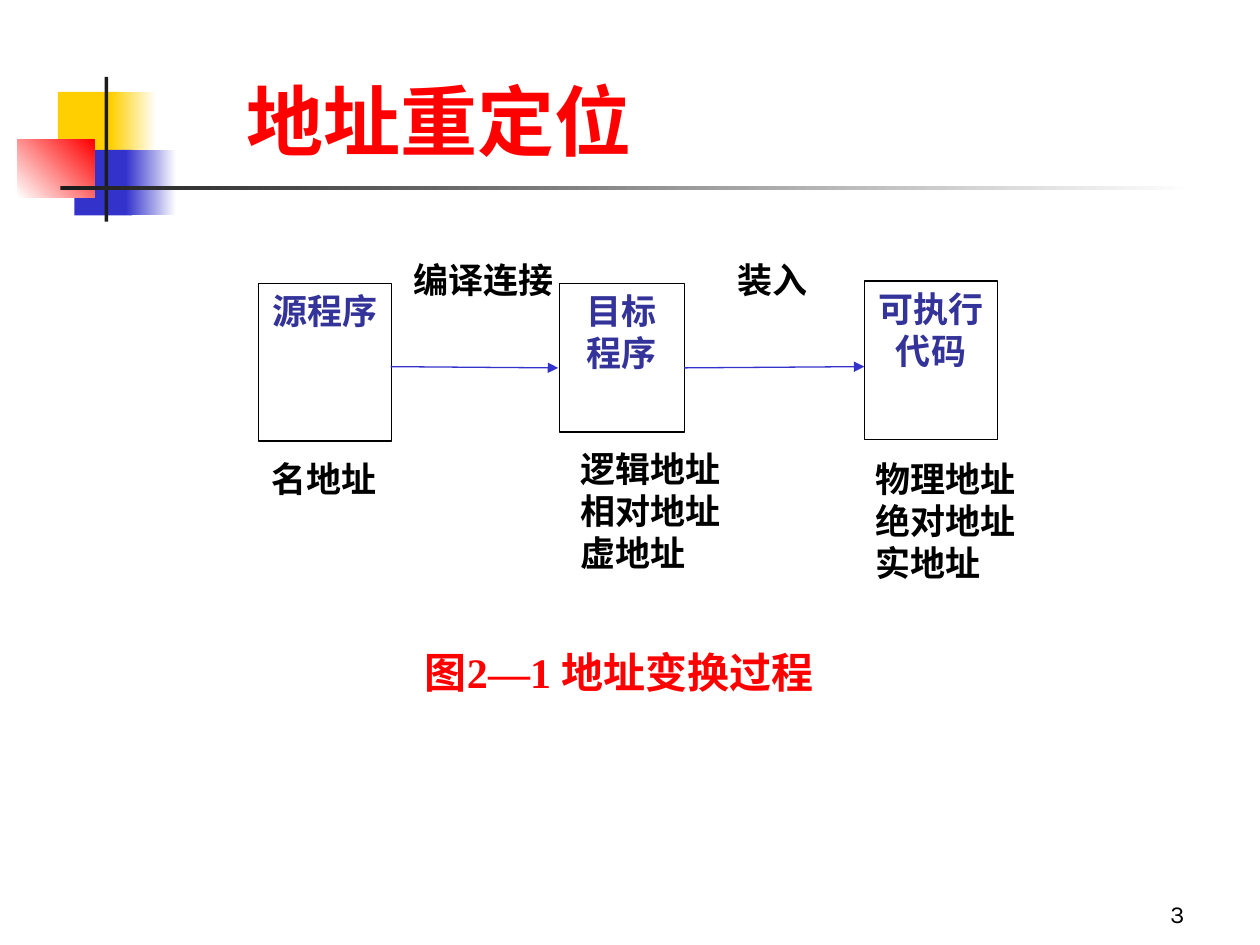
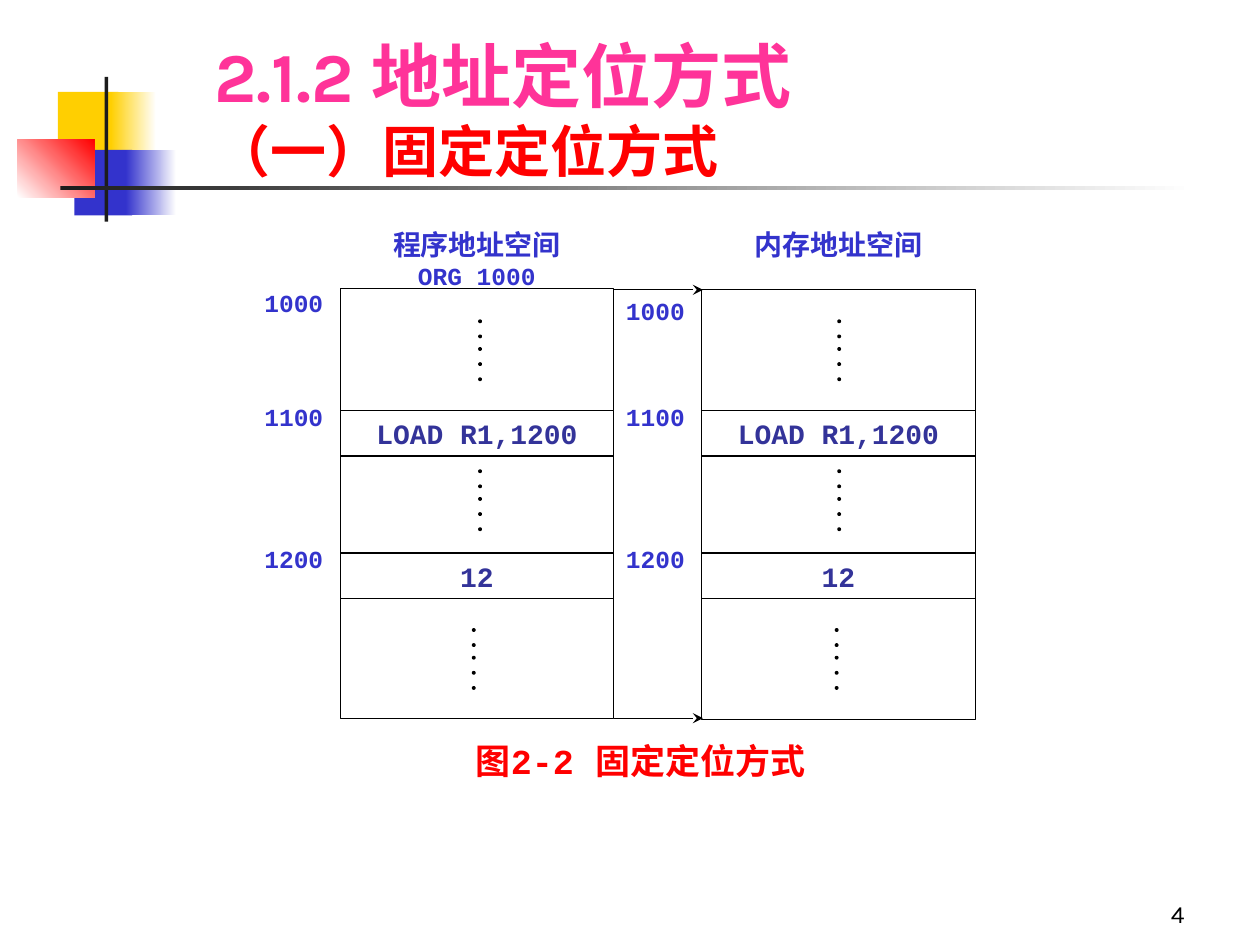
from dataclasses import dataclass

from lxml import etree
from pptx import Presentation
from pptx.dml.color import RGBColor
from pptx.enum.shapes import MSO_CONNECTOR, MSO_SHAPE
from pptx.enum.text import MSO_ANCHOR, MSO_AUTO_SIZE, PP_ALIGN
from pptx.oxml.ns import qn
from pptx.util import Inches, Pt

RECT, OVAL, STRAIGHT = MSO_SHAPE.RECTANGLE, MSO_SHAPE.OVAL, MSO_CONNECTOR.STRAIGHT
LEFT, CENTER, RIGHT, JUSTIFY = PP_ALIGN.LEFT, PP_ALIGN.CENTER, PP_ALIGN.RIGHT, PP_ALIGN.JUSTIFY
TOP, BOTTOM = MSO_ANCHOR.TOP, MSO_ANCHOR.BOTTOM
TITLE_ONLY = 5


@dataclass(frozen=True)
class Theme:
    black: str = "000000"
    white: str = "FFFFFF"
    ink: str = "1C1C1C"
    red: str = "FF0000"
    pink: str = "FF3399"
    yellow: str = "FFCF01"
    blue: str = "3333CC"
    navy: str = "333399"
    heading_font: str = "Karla"
    diagram_font: str = "Times New Roman"
    code_font: str = "Courier New"
    title: int = 44
    section: int = 40
    subsection: int = 32
    caption: int = 24
    body: int = 20
    code: int = 16
    small: int = 14
    line: float = 0.75


THEME = Theme()


def rgb(color):
    return RGBColor.from_string(color)


def style_spans(para, font, size, color, bold=True):
    for span in para.runs:
        span.font.name = font
        span.font.size = Pt(size)
        span.font.color.rgb = rgb(color)
        span.font.bold = bold


def write(box, text, font, size, color, align=CENTER, anchor=TOP, bold=True):
    frame = box.text_frame
    frame.word_wrap = True
    frame.auto_size = MSO_AUTO_SIZE.NONE
    frame.vertical_anchor = anchor
    frame.text = text
    for para in frame.paragraphs:
        para.alignment = align
        style_spans(para, font, size, color, bold)


def add_label(page, place, text, font, size, color, **layout):
    box = page.shapes.add_textbox(*map(Inches, place))
    write(box, text, font, size, color, **layout)
    return box


def add_block(page, place, fill=None, line=None, shape=RECT):
    block = page.shapes.add_shape(shape, *map(Inches, place))
    block.shadow.inherit = False
    if fill:
        block.fill.solid()
        block.fill.fore_color.rgb = rgb(fill)
    else:
        block.fill.background()
    if line:
        block.line.color.rgb = rgb(line)
        block.line.width = Pt(THEME.line)
    else:
        block.line.fill.background()
    return block


def add_fade(page, place, start, end, angle=0):
    block = add_block(page, place)
    block.fill.gradient()
    block.fill.gradient_angle = angle
    for stop, color in zip(block.fill.gradient_stops, (start, end)):
        stop.color.rgb = rgb(color)


def add_arrow(page, start, end, color, head):
    arrow = page.shapes.add_connector(STRAIGHT, *map(Inches, start + end))
    arrow.line.color.rgb = rgb(color)
    arrow.line.width = Pt(THEME.line)
    etree.SubElement(arrow.line._get_or_add_ln(), qn("a:tailEnd"), type=head)
    etree.SubElement(arrow._element.spPr, qn("a:effectLst"))


def add_ornament(page):
    add_block(page, (0.46, 0.73, 0.48, 0.52), THEME.yellow)
    add_fade(page, (0.88, 0.73, 0.36, 0.52), THEME.yellow, THEME.white)
    add_block(page, (0.59, 1.19, 0.46, 0.52), THEME.blue)
    add_fade(page, (1, 1.19, 0.4, 0.52), THEME.blue, THEME.white)
    add_fade(page, (0.14, 1.11, 0.61, 0.46), THEME.white, THEME.red, angle=45)
    add_block(page, (0.83, 0.61, 0.03, 1.15), THEME.ink)
    add_fade(page, (0.48, 1.48, 9, 0.03), THEME.ink, THEME.white)


def start_page(deck, number, title, place, size):
    """Add a page with the shared ornament, red title and page number."""
    page = deck.slides.add_slide(deck.slide_layouts[TITLE_ONLY])
    add_ornament(page)
    heading = page.shapes.title
    heading.left, heading.top, heading.width, heading.height = map(Inches, place)
    write(heading, title, THEME.heading_font, size, THEME.red, align=LEFT, anchor=BOTTOM)
    add_label(page, (7.42, 6.92, 2.08, 0.5), str(number), THEME.heading_font, THEME.small,
              THEME.black, align=RIGHT, anchor=BOTTOM, bold=False)
    return page


def build_relocation(deck):
    page = start_page(deck, 3, "地址重定位", (1.86, 0.37, 7.14, 1), THEME.title)
    add_label(page, (3, 5.08, 3.83, 0.68), "图2—1 地址变换过程",
              THEME.diagram_font, THEME.caption, THEME.red)

    # Program stages
    stages = [
        ("源程序", (2.05, 2.25, 1.06, 1.25)),
        ("目标\n程序", (4.44, 2.25, 0.99, 1.18)),
        ("可执行\n代码", (6.86, 2.23, 1.06, 1.26)),
    ]
    for text, place in stages:
        stage = add_block(page, place, THEME.white, THEME.black)
        write(stage, text, THEME.diagram_font, THEME.body, THEME.navy)

    # Steps above the arrows and address kinds below the stages
    notes = [
        ("编译连接", (2.85, 2, 1.98, 1.01), CENTER),
        ("装入", (5.41, 2, 1.45, 1.01), CENTER),
        ("名地址", (1.85, 3.58, 1.45, 1.16), CENTER),
        ("逻辑地址\n相对地址\n虚地址", (4.51, 3.5, 1.45, 1.25), JUSTIFY),
        ("物理地址\n绝对地址\n实地址", (6.85, 3.58, 1.72, 1.17), JUSTIFY),
    ]
    for text, place, align in notes:
        add_label(page, place, text, THEME.diagram_font, THEME.body, THEME.black, align=align)

    add_arrow(page, (3.1, 2.91), (4.43, 2.92), THEME.blue, "triangle")
    add_arrow(page, (5.43, 2.92), (6.86, 2.91), THEME.blue, "triangle")


def add_ellipsis(page, left, top):
    for offset in (0, 0.12, 0.22, 0.34, 0.46):
        add_block(page, (left, top + offset, 0.02, 0.02), THEME.black, THEME.black, OVAL)


def add_address_space(page, left, top, heading, first_label_top, dot_lefts):
    """Draw one memory column with its heading, cells, addresses and dots."""
    width = 2.17
    add_block(page, (left, top, width, 3.41), line=THEME.black)
    for cell_top, content in ((3.26, "LOAD R1,1200"), (4.39, "12")):
        cell = add_block(page, (left, cell_top, width, 0.36), THEME.white, THEME.black)
        write(cell, content, THEME.code_font, THEME.code, THEME.navy)

    title = add_label(page, (left, 1.76, width, 0.54), heading,
                      THEME.code_font, THEME.code, THEME.blue)
    for para in title.text_frame.paragraphs[1:]:
        style_spans(para, THEME.code_font, THEME.small, THEME.blue)

    for address, label_top in (("1000", first_label_top), ("1100", 3.14), ("1200", 4.27)):
        add_label(page, (left - 0.7, label_top, 0.84, 0.36), address,
                  THEME.code_font, THEME.small, THEME.blue, align=JUSTIFY)
    for dot_left, dot_top in zip(dot_lefts, (2.54, 3.73, 4.99)):
        add_ellipsis(page, dot_left, dot_top)


def build_fixed_location(deck):
    page = start_page(deck, 4, "2.1.2 地址定位方式\v（一）固定定位方式",
                      (1.6, 0.09, 7.13, 1.42), THEME.subsection)
    section = page.shapes.title.text_frame.paragraphs[0].runs[0]
    section.font.size = Pt(THEME.section)
    section.font.color.rgb = rgb(THEME.pink)

    add_address_space(page, 2.7, 2.29, "程序地址空间\nORG 1000", 2.24, (3.8, 3.8, 3.75))
    add_address_space(page, 5.57, 2.3, "内存地址空间", 2.3, (6.65, 6.65, 6.63))

    # Mapping from program space to memory
    for edge in (2.3, 5.7):
        add_arrow(page, (4.87, edge), (5.58, edge), THEME.black, "stealth")
    add_label(page, (3.05, 5.82, 4.07, 0.36), "图2-2 固定定位方式",
              THEME.code_font, THEME.body, THEME.red)


def main():
    deck = Presentation()
    deck.slide_width, deck.slide_height = Inches(10), Inches(7.5)
    build_relocation(deck)
    build_fixed_location(deck)
    deck.save("out.pptx")


if __name__ == "__main__":
    main()
